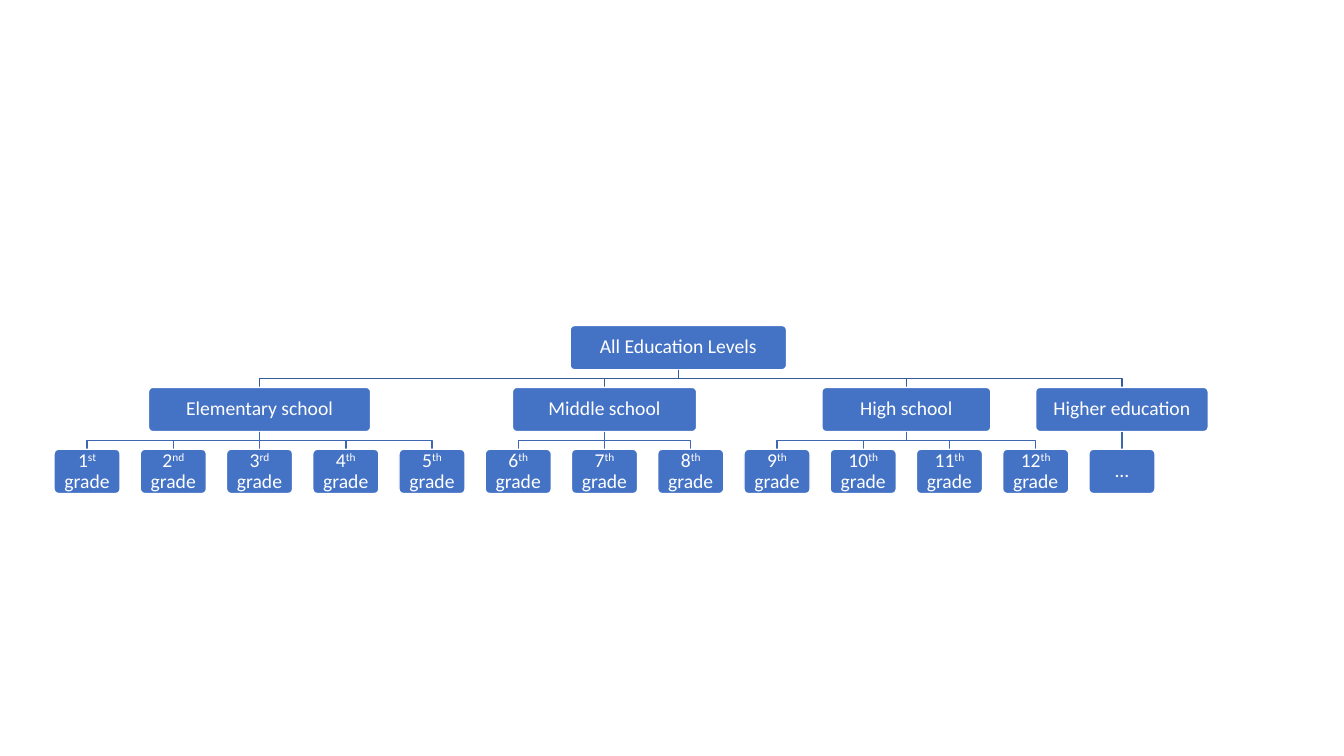
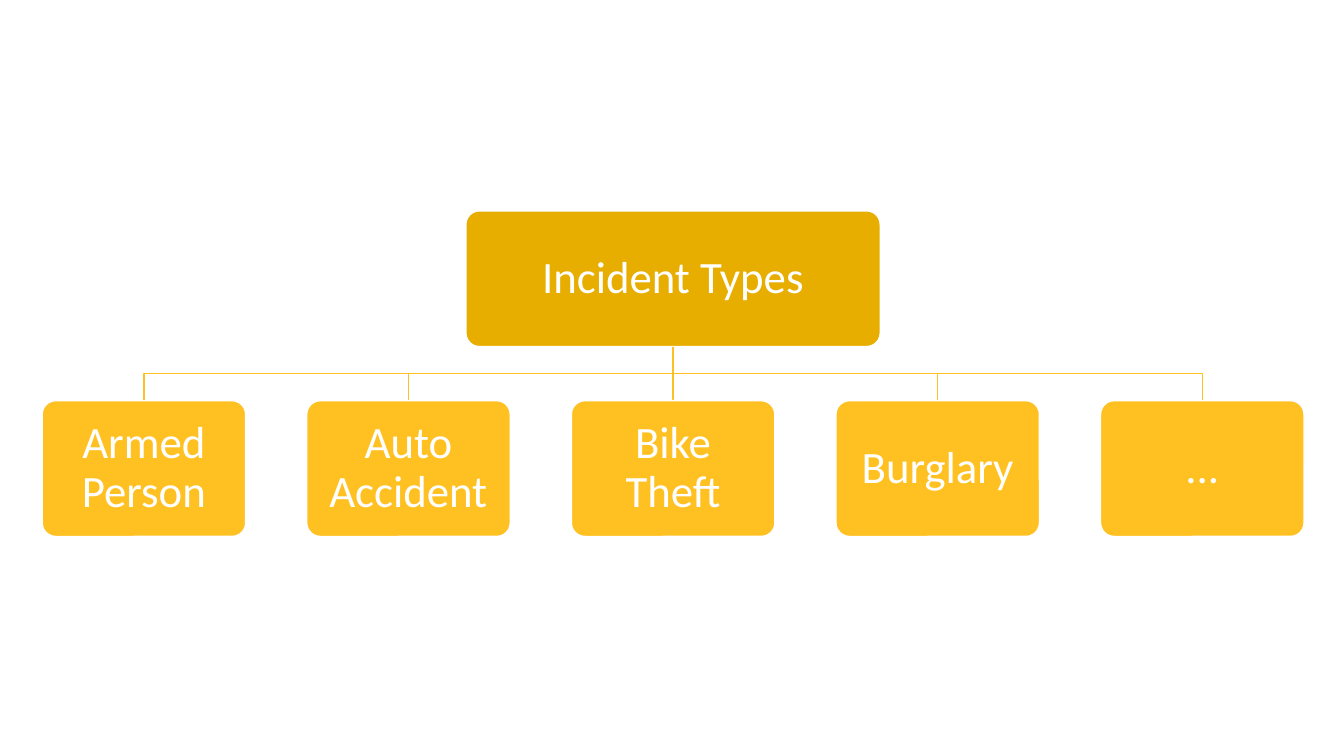
from dataclasses import dataclass, field

from pptx import Presentation, util as u
from pptx.dml.color import RGBColor
from pptx.enum import shapes, text
from pptx.oxml.ns import qn

COLORS = {
    "white": "FFFFFF",
    "blue": "4472C4",
    "navy": "365B9D",
    "steel": "3E67B2",
    "amber": "E7AE00",
    "yellow": "FFC122",
}


@dataclass
class Node:
    """One box of a tree; spans are (wording, raised) pairs."""

    spans: list
    width: float
    children: list = field(default_factory=list)
    center: float = 0


@dataclass
class Layout:
    """Measures of one tree in points, with fills and links by level."""

    first: float
    pitch: float
    top: float
    step: float
    height: float
    size: float
    fills: list
    links: list


def color(name):
    """Return the named colour."""
    return RGBColor.from_string(COLORS[name])


def assign(target, values):
    """Set attributes from a dict of format values."""
    for name, value in values.items():
        setattr(target, name, value)


def plain(wording, width, children=()):
    """Make a node with one unraised span."""
    return Node([(wording, False)], width, list(children))


def grade(number, width):
    """Make a school grade node with a raised ordinal ending."""
    ending = {1: "st", 2: "nd", 3: "rd"}.get(number, "th")
    return Node([(str(number), False), (ending, True), (" grade", False)], width)


class TreeDeck:
    """Holds the shared style and the current page."""

    font = "Calibri"
    corner = 0.1
    line_width = 1
    inset_ratio = 0.3

    def __init__(self, width, height):
        """Start an empty deck of the given size."""
        self.deck = Presentation()
        assign(self.deck, {"slide_width": u.Pt(width), "slide_height": u.Pt(height)})
        self.page = None

    def add_page(self):
        """Add a blank page and make it current."""
        self.page = self.deck.slides.add_slide(self.deck.slide_layouts[6])

    def style_line(self, line, name):
        """Colour a line and set the shared width."""
        line.color.rgb = color(name)
        line.width = u.Pt(self.line_width)

    def box(self, node, top, layout, fill):
        """Draw a rounded box with centred text."""
        box = self.page.shapes.add_shape(
            shapes.MSO_SHAPE.ROUNDED_RECTANGLE, u.Pt(node.center - node.width / 2),
            u.Pt(top), u.Pt(node.width), u.Pt(layout.height))
        box.adjustments[0] = self.corner
        box.shadow.inherit = False
        box.fill.solid()
        box.fill.fore_color.rgb = color(fill)
        self.style_line(box.line, "white")
        frame = box.text_frame
        inset = u.Pt(layout.size * self.inset_ratio)
        assign(frame, {"word_wrap": True, "vertical_anchor": text.MSO_ANCHOR.MIDDLE,
                       "margin_left": inset, "margin_right": inset,
                       "margin_top": inset, "margin_bottom": inset})
        para = frame.paragraphs[0]
        assign(para, {"alignment": text.PP_ALIGN.CENTER, "line_spacing": 0.9})
        for wording, raised in node.spans:
            span = para.add_run()
            span.text = wording
            assign(span.font, {"name": self.font, "size": u.Pt(layout.size)})
            span.font.color.rgb = color("white")
            if raised:
                span._r.get_or_add_rPr().set("baseline", "30000")

    def link(self, start, end, top, bottom, name):
        """Join two levels by a straight line or a stepped outline."""
        if abs(start - end) < 0.1:
            line = self.page.shapes.add_connector(
                shapes.MSO_CONNECTOR.STRAIGHT,
                u.Pt(start), u.Pt(top), u.Pt(end), u.Pt(bottom))
            properties = line._element.spPr
            self.style_line(line.line, name)
            properties.append(properties.makeelement(qn("a:effectLst"), {}))
            return
        middle = (top + bottom) / 2
        outline = self.page.shapes.build_freeform(u.Pt(start), u.Pt(top))
        corners = [(start, middle), (end, middle), (end, bottom)]
        outline.add_line_segments([(u.Pt(x), u.Pt(y)) for x, y in corners], close=False)
        step = outline.convert_to_shape()
        step.shadow.inherit = False
        step.fill.background()
        self.style_line(step.line, name)

    def place(self, node, layout, used=0):
        """Space leaves evenly, centre parents; return the leaves used."""
        if not node.children:
            node.center = layout.first + used * layout.pitch
            return used + 1
        for child in node.children:
            used = self.place(child, layout, used)
        first, last = node.children[0], node.children[-1]
        left = first.center - first.width / 2
        right = last.center + last.width / 2
        node.center = (left + right) / 2
        return used

    def branch(self, node, layout, level=0):
        """Draw a placed node, its links and its children."""
        top = layout.top + level * layout.step
        self.box(node, top, layout, layout.fills[level])
        for child in node.children:
            self.link(node.center, child.center, top + layout.height,
                      top + layout.step, layout.links[level])
            self.branch(child, layout, level + 1)

    def tree(self, root, layout):
        """Put a whole tree on a new page."""
        self.add_page()
        self.place(root, layout)
        self.branch(root, layout)


def education():
    """Return the tree of education levels."""
    leaf = 47.2
    schools = [("Elementary school", 158.7, range(1, 6)),
               ("Middle school", 131.6, range(6, 9)),
               ("High school", 120.7, range(9, 13))]
    levels = [plain(name, width, [grade(number, leaf) for number in grades])
              for name, width, grades in schools]
    levels.append(plain("Higher education", 123.3, [plain("...", leaf)]))
    return plain("All Education Levels", 154.6, levels)


def incidents():
    """Return the tree of incident types."""
    names = ["Armed Person", "Auto Accident", "Bike Theft", "Burglary", "..."]
    return plain("Incident Types", 296, [plain(name, 145.4) for name in names])


def main():
    """Build and save the deck."""
    deck = TreeDeck(960, 540)
    deck.tree(education(), Layout(
        first=62.2, pitch=61.6, top=232.5, step=44.2, height=31.6, size=14,
        fills=["blue"] * 3, links=["navy", "steel"]))
    deck.tree(incidents(), Layout(
        first=102.8, pitch=189, top=150.6, step=135.6, height=97, size=32,
        fills=["amber", "yellow"], links=["yellow"]))
    deck.deck.save("out.pptx")


main()
